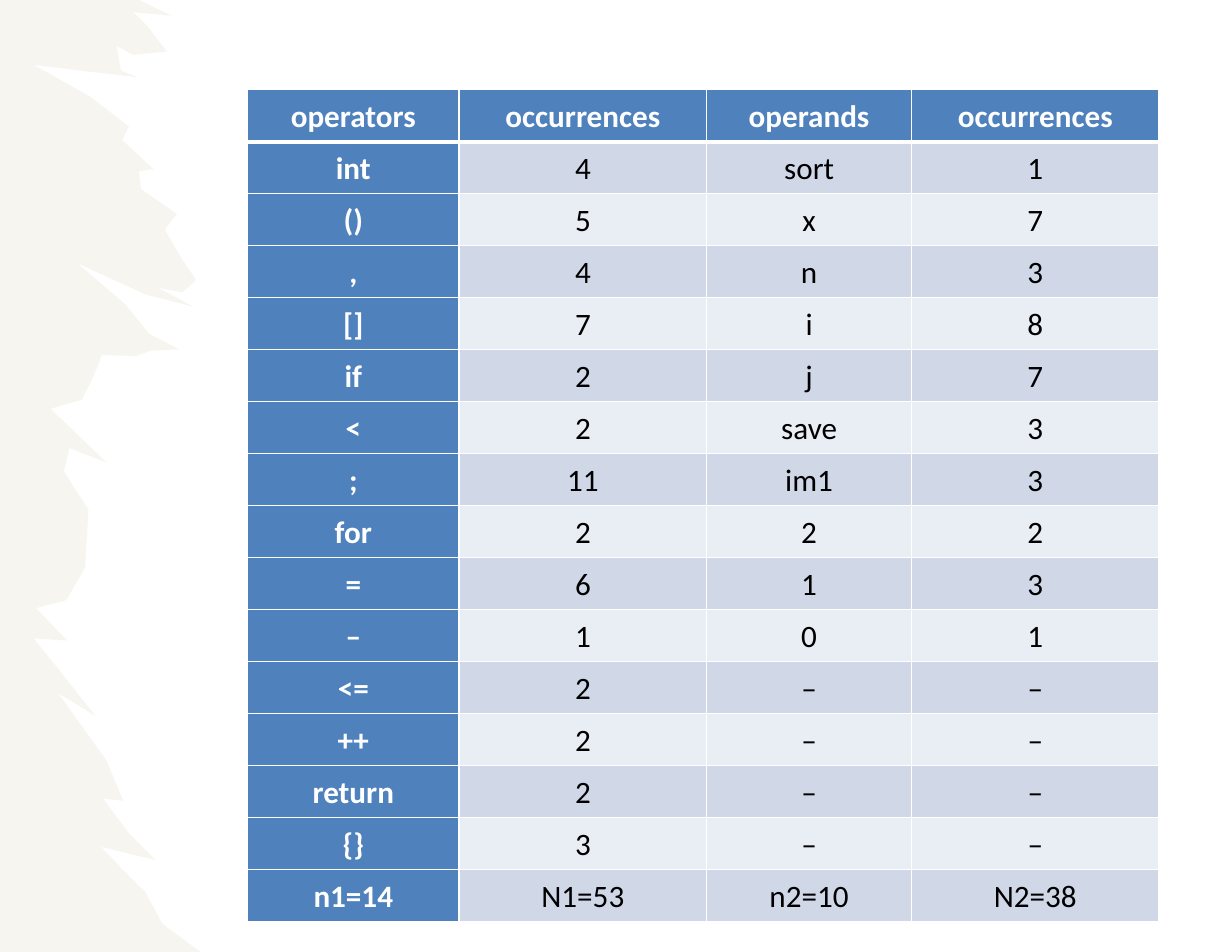
import pptx
import pptx.util
import pptx.dml.color
import pptx.enum.text
import pptx.oxml.ns
import lxml.etree

THEME = {
    "font": "Calibri", "size": 20, "header": "4F81BD", "bands": ["E9EDF4", "D0D8E8"],
    "light": "FFFFFF", "dark": "000000", "paper": "EEECE1", "rule": 1, "heavy_rule": 3,
}
WIDTH, HEIGHT = 11, 8.5


def write_text(cell, text, color, bold):
    cell.vertical_anchor = pptx.enum.text.MSO_ANCHOR.BOTTOM
    cell.margin_left = cell.margin_right = pptx.util.Inches(0.04)
    cell.margin_top = cell.margin_bottom = pptx.util.Inches(0.05)
    paragraph = cell.text_frame.paragraphs[0]
    paragraph.alignment = pptx.enum.text.PP_ALIGN.CENTER
    paragraph.line_spacing = 1.07
    paragraph.space_after = pptx.util.Pt(8)
    run = paragraph.add_run()
    run.text = text
    run.font.name = THEME["font"]
    run.font.size = pptx.util.Pt(THEME["size"])
    run.font.bold = bold
    run.font.color.rgb = pptx.dml.color.RGBColor.from_string(color)


def add_border(cell, side, points):
    line = lxml.etree.SubElement(
        cell._tc.get_or_add_tcPr(), pptx.oxml.ns.qn("a:ln" + side), w=str(pptx.util.Pt(points)))
    fill = lxml.etree.SubElement(line, pptx.oxml.ns.qn("a:solidFill"))
    lxml.etree.SubElement(fill, pptx.oxml.ns.qn("a:srgbClr"), val=THEME["light"])


presentation = pptx.Presentation()
presentation.slide_width = pptx.util.Inches(WIDTH)
presentation.slide_height = pptx.util.Inches(HEIGHT)
slide = presentation.slides.add_slide(presentation.slide_layouts[6])

torn_edge = [
    (1.24, 0), (1.53, 0.14), (1.19, 0.11), (1.32, 0.24), (1.49, 0.46), (1.19, 0.49),
    (1.04, 0.41), (1.08, 0.63), (1.23, 0.69), (0.88, 0.65), (0.3, 0.58), (0.8, 0.86),
    (1.15, 1.13), (1.09, 1.25), (1.37, 1.51), (1.24, 1.53), (1.26, 1.69), (1.58, 1.91),
    (1.47, 2.05), (1.61, 2.29), (1.75, 2.5), (1.63, 2.61), (1.41, 2.57), (1.73, 2.74),
    (1.3, 2.63), (0.69, 2.35), (1.12, 2.72), (1.33, 2.98), (1.6, 3.12), (1.35, 3.13),
    (1.21, 3.18), (0.91, 3.17), (0.84, 3.35), (0.73, 3.57), (0.45, 3.65), (0.95, 4.13),
    (0.62, 4), (0.57, 4.21), (0.79, 4.55), (0.76, 5.07), (0.59, 5.36), (0.32, 5.43),
    (0.6, 5.72), (0.3, 5.7), (0.51, 5.96), (0.85, 6.39), (0.52, 6.19), (0.95, 6.79),
    (1.1, 7.15), (0.92, 7.13), (1.15, 7.44), (1.39, 7.68), (0.9, 7.56), (1.12, 7.79),
    (1.3, 7.97), (1.45, 8.25), (1.79, HEIGHT),
]
builder = slide.shapes.build_freeform(0, 0, scale=pptx.util.Inches(1))
builder.add_line_segments(torn_edge + [(0, HEIGHT)], close=True)
paper = builder.convert_to_shape()
paper.shadow.inherit = False
paper.line.fill.background()
paper.fill.solid()
paper.fill.fore_color.rgb = pptx.dml.color.RGBColor.from_string(THEME["paper"])
paper_color = paper._element.spPr.find(".//" + pptx.oxml.ns.qn("a:srgbClr"))
lxml.etree.SubElement(paper_color, pptx.oxml.ns.qn("a:alpha"), val="50000")

path_element = paper._element.find(".//" + pptx.oxml.ns.qn("a:path"))
path_scale = 1000
for axis in ("w", "h"):
    path_element.set(axis, str(round(int(path_element.get(axis)) * path_scale)))
points = [(0, 0)] + torn_edge + [(0, HEIGHT)]
for element, point in zip(path_element.iter(pptx.oxml.ns.qn("a:pt")), points):
    for axis, value in zip("xy", point):
        element.set(axis, str(round(value * path_scale)))
path_element.set("w", str(round(max(x for x, y in points) * path_scale)))
path_element.set("h", str(round(HEIGHT * path_scale)))
paper.width = pptx.util.Inches(max(x for x, y in points))
paper.height = presentation.slide_height

rows = [
    ("operators", "occurrences", "operands", "occurrences"),
    ("int", "4", "sort", "1"),
    ("()", "5", "x", "7"),
    (",", "4", "n", "3"),
    ("[]", "7", "i", "8"),
    ("if", "2", "j", "7"),
    ("<", "2", "save", "3"),
    (";", "11", "im1", "3"),
    ("for", "2", "2", "2"),
    ("=", "6", "1", "3"),
    ("–", "1", "0", "1"),
    ("<=", "2", "–", "–"),
    ("++", "2", "–", "–"),
    ("return", "2", "–", "–"),
    ("{}", "3", "–", "–"),
    ("n1=14", "N1=53", "n2=10", "N2=38"),
]
column_widths = [1.89, 2.21, 1.83, 2.21]
row_height = 0.43
table = slide.shapes.add_table(
    len(rows), len(column_widths), pptx.util.Inches(2.21), pptx.util.Inches(0.8),
    pptx.util.Inches(sum(column_widths)), pptx.util.Inches(row_height * len(rows))).table
for column, width in zip(table.columns, column_widths):
    column.width = pptx.util.Inches(width)

for row_index, row in enumerate(rows):
    table.rows[row_index].height = pptx.util.Inches(row_height)
    for column_index, text in enumerate(row):
        cell = table.cell(row_index, column_index)
        is_heading = row_index == 0 or column_index == 0
        heavy_side = {0: "B", 1: "T"}.get(row_index)
        for side in "LRTB":
            add_border(cell, side, THEME["heavy_rule" if side == heavy_side else "rule"])
        fill_color = THEME["header"] if is_heading else THEME["bands"][row_index % 2]
        cell.fill.solid()
        cell.fill.fore_color.rgb = pptx.dml.color.RGBColor.from_string(fill_color)
        write_text(cell, text, color=THEME["light" if is_heading else "dark"], bold=is_heading)

presentation.save("out.pptx")
